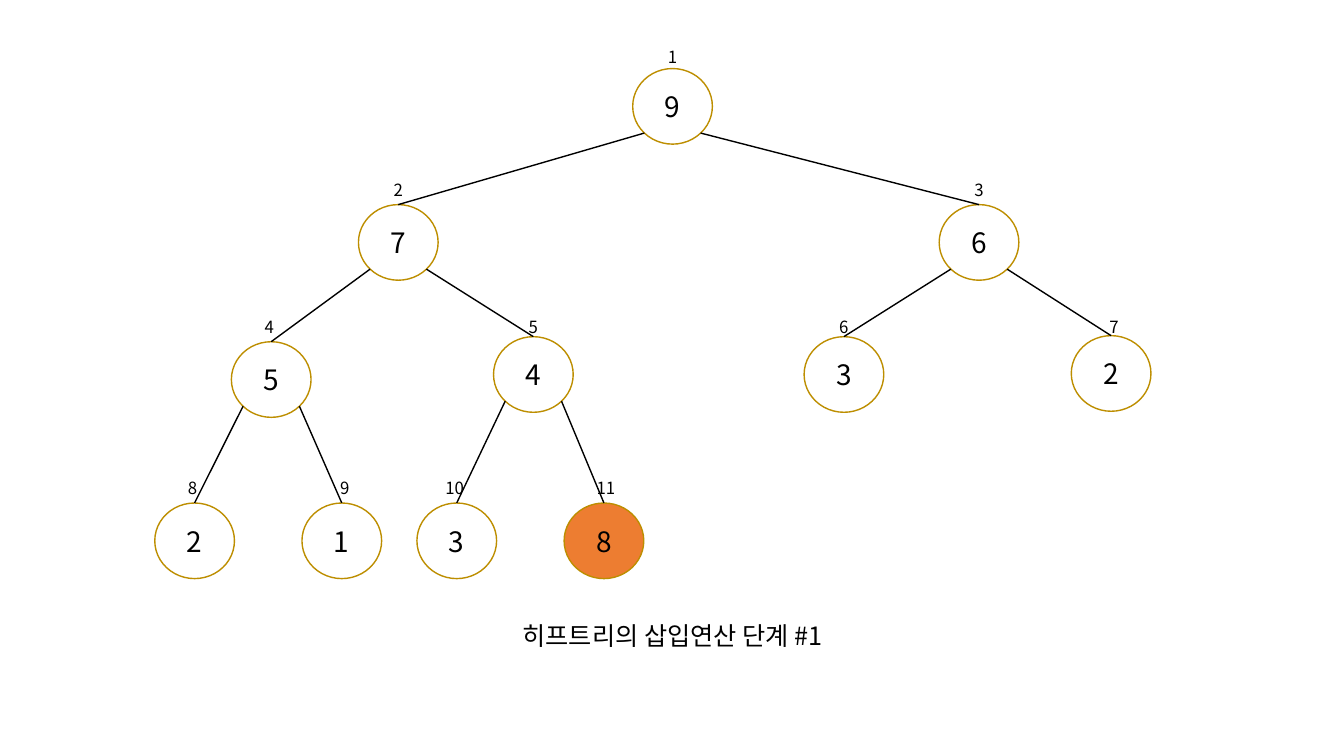
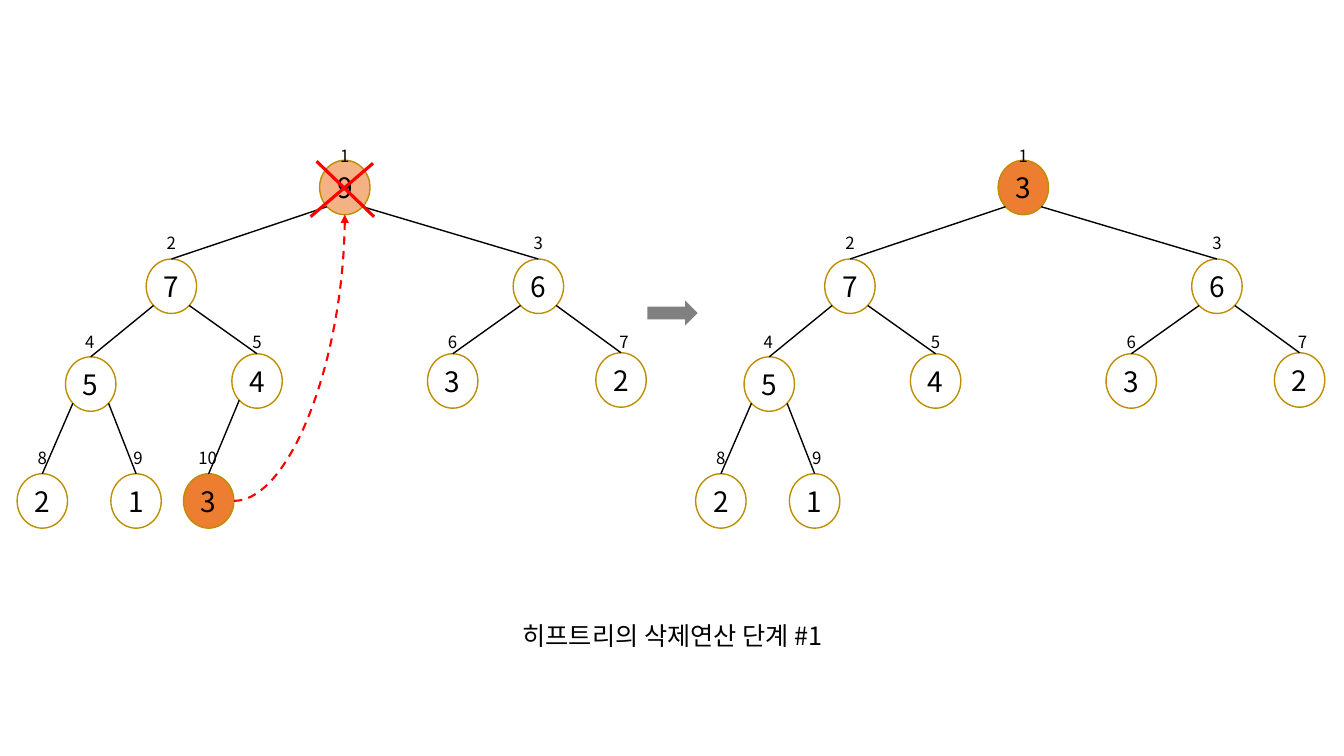
from dataclasses import dataclass, replace

from lxml.etree import SubElement
from pptx import Presentation
from pptx.dml.color import RGBColor
from pptx.enum.dml import MSO_LINE
from pptx.enum.shapes import MSO_CONNECTOR, MSO_SHAPE
from pptx.enum.text import MSO_ANCHOR, MSO_AUTO_SIZE, PP_ALIGN
from pptx.oxml.ns import qn
from pptx.shapes.autoshape import Shape
from pptx.shapes.connector import Connector
from pptx.slide import Slide
from pptx.text.text import TextFrame
from pptx.util import Inches, Pt

FONT = "Noto Sans CJK KR"
COLORS = {
    "text": "000000",
    "edge": "000000",
    "node": "FFFFFF",
    "outline": "BD8E00",
    "highlight": "ED7D31",
    "removed": "F4B183",
    "arrow": "808080",
    "mark": "FF0000",
}
DIAGONAL = 0.3536
LABEL_WIDTH = 0.46
LABEL_HEIGHT = 0.3
SECOND_TREE_OFFSET = 6.73


@dataclass(frozen=True)
class Node:
    value: str
    center: float
    top: float
    label_center: float
    fill: str = "node"


@dataclass(frozen=True)
class Tree:
    nodes: list[Node]
    width: float
    height: float
    label_tops: tuple[float, ...]


INSERTION_TREE = Tree(
    [
        Node("9", 6.67, 0.68, 6.67),
        Node("7", 3.95, 2.03, 3.95),
        Node("6", 9.71, 2.03, 9.71),
        Node("5", 2.69, 3.39, 2.67),
        Node("4", 5.29, 3.34, 5.29),
        Node("3", 8.37, 3.34, 8.37),
        Node("2", 11.02, 3.33, 11.05),
        Node("2", 1.93, 4.99, 1.91),
        Node("1", 3.39, 4.99, 3.42),
        Node("3", 4.53, 4.99, 4.51),
        Node("8", 5.99, 4.99, 6.01, "highlight"),
    ],
    0.79,
    0.75,
    (0.41, 1.73, 3.09, 4.69),
)
DELETION_TREE = Tree(
    [
        Node("9", 3.42, 1.59, 3.42, "removed"),
        Node("7", 1.7, 2.57, 1.7),
        Node("6", 5.34, 2.57, 5.34),
        Node("5", 0.9, 3.54, 0.89),
        Node("4", 2.55, 3.51, 2.55),
        Node("3", 4.49, 3.51, 4.49),
        Node("2", 6.16, 3.5, 6.19),
        Node("2", 0.42, 4.7, 0.42),
        Node("1", 1.35, 4.7, 1.37),
        Node("3", 2.07, 4.7, 2.06, "highlight"),
    ],
    0.5,
    0.54,
    (1.4, 2.26, 3.24, 4.39),
)


def color(name: str) -> RGBColor:
    return RGBColor.from_string(COLORS[name])


def write_text(frame: TextFrame, text: str, size: float) -> None:
    frame.text = text
    paragraph = frame.paragraphs[0]
    paragraph.alignment = PP_ALIGN.CENTER
    run = paragraph.runs[0]
    run.font.size = Pt(size)
    run.font.name = FONT
    run.font.color.rgb = color("text")
    SubElement(run.font._element, qn("a:ea"), typeface=FONT)


def add_filled_shape(
    slide: Slide, kind: MSO_SHAPE, left: float, top: float, width: float, height: float, fill: str
) -> Shape:
    shape = slide.shapes.add_shape(kind, Inches(left), Inches(top), Inches(width), Inches(height))
    shape.shadow.inherit = False
    shape.fill.solid()
    shape.fill.fore_color.rgb = color(fill)
    shape.line.fill.background()
    return shape


def add_line(
    slide: Slide,
    start: tuple[float, float],
    end: tuple[float, float],
    line_color: str,
    width: float,
    kind: MSO_CONNECTOR = MSO_CONNECTOR.STRAIGHT,
) -> Connector:
    connector = slide.shapes.add_connector(kind, *map(Inches, (*start, *end)))
    connector.line.color.rgb = color(line_color)
    connector.line.width = Pt(width)
    SubElement(connector._element.spPr, qn("a:effectLst"))
    return connector


def add_node(slide: Slide, tree: Tree, node: Node) -> Shape:
    shape = add_filled_shape(
        slide,
        MSO_SHAPE.FLOWCHART_CONNECTOR,
        node.center - tree.width / 2,
        node.top,
        tree.width,
        tree.height,
        node.fill,
    )
    shape.line.color.rgb = color("outline")
    shape.line.width = Pt(1)
    frame = shape.text_frame
    frame.margin_left = frame.margin_right = frame.margin_top = frame.margin_bottom = 0
    frame.vertical_anchor = MSO_ANCHOR.MIDDLE
    write_text(frame, node.value, 20)
    return shape


def add_label(slide: Slide, text: str, center: float, top: float) -> None:
    box = slide.shapes.add_textbox(
        Inches(center - LABEL_WIDTH / 2), Inches(top), Inches(LABEL_WIDTH), Inches(LABEL_HEIGHT)
    )
    box.text_frame.word_wrap = True
    box.text_frame.auto_size = MSO_AUTO_SIZE.SHAPE_TO_FIT_TEXT
    write_text(box.text_frame, text, 12)


def add_tree(slide: Slide, tree: Tree) -> None:
    shapes = [add_node(slide, tree, node) for node in tree.nodes]
    for number, node in enumerate(tree.nodes, start=1):
        if number > 1:
            parent = tree.nodes[number // 2 - 1]
            side = -1 if number % 2 == 0 else 1
            parent_end = (
                parent.center + side * DIAGONAL * tree.width,
                parent.top + (0.5 + DIAGONAL) * tree.height,
            )
            edge = add_line(slide, (node.center, node.top), parent_end, "edge", 1)
            edge.begin_connect(shapes[number - 1], 0)
        level = number.bit_length() - 1
        add_label(slide, str(number), node.label_center, tree.label_tops[level])


def add_captioned_slide(presentation: Presentation, caption: str) -> Slide:
    slide = presentation.slides.add_slide(presentation.slide_layouts[5])
    title = slide.shapes.title
    title.left, title.top, title.width, title.height = map(Inches, (3.7, 6.1, 5.94, 0.4))
    frame = title.text_frame
    frame.word_wrap = True
    frame.auto_size = MSO_AUTO_SIZE.NONE
    frame.vertical_anchor = MSO_ANCHOR.TOP
    write_text(frame, caption, 18)
    return slide


def tree_after_deletion() -> Tree:
    nodes = [
        replace(
            node,
            center=node.center + SECOND_TREE_OFFSET,
            label_center=node.label_center + SECOND_TREE_OFFSET,
        )
        for node in DELETION_TREE.nodes[:-1]
    ]
    nodes[0] = replace(nodes[0], value=DELETION_TREE.nodes[-1].value, fill="highlight")
    return replace(DELETION_TREE, nodes=nodes)


def add_move_arrow(slide: Slide) -> None:
    root, last = DELETION_TREE.nodes[0], DELETION_TREE.nodes[-1]
    start = (last.center + DELETION_TREE.width / 2, last.top + DELETION_TREE.height / 2)
    end = (root.center, root.top + DELETION_TREE.height)
    arrow = add_line(slide, start, end, "mark", 1.5, MSO_CONNECTOR.CURVE)
    arrow.line.dash_style = MSO_LINE.DASH
    properties = arrow._element.spPr
    properties.find(qn("a:prstGeom")).set("prst", "curvedConnector2")
    SubElement(properties.find(qn("a:ln")), qn("a:tailEnd"), type="triangle")


def build_insertion_slide(presentation: Presentation) -> None:
    slide = add_captioned_slide(presentation, "히프트리의 삽입연산 단계 #1")
    add_tree(slide, INSERTION_TREE)


def build_deletion_slide(presentation: Presentation) -> None:
    slide = add_captioned_slide(presentation, "히프트리의 삭제연산 단계 #1")
    add_tree(slide, DELETION_TREE)
    add_filled_shape(slide, MSO_SHAPE.RIGHT_ARROW, 6.42, 2.98, 0.5, 0.25, "arrow")
    add_tree(slide, tree_after_deletion())
    add_line(slide, (3.14, 1.6), (3.71, 2.15), "mark", 2.25)
    add_line(slide, (3.7, 1.62), (3.08, 2.15), "mark", 2.25)
    add_move_arrow(slide)


def main() -> None:
    presentation = Presentation()
    presentation.slide_width = Inches(13.33)
    presentation.slide_height = Inches(7.5)
    build_insertion_slide(presentation)
    build_deletion_slide(presentation)
    presentation.save("out.pptx")


if __name__ == "__main__":
    main()
